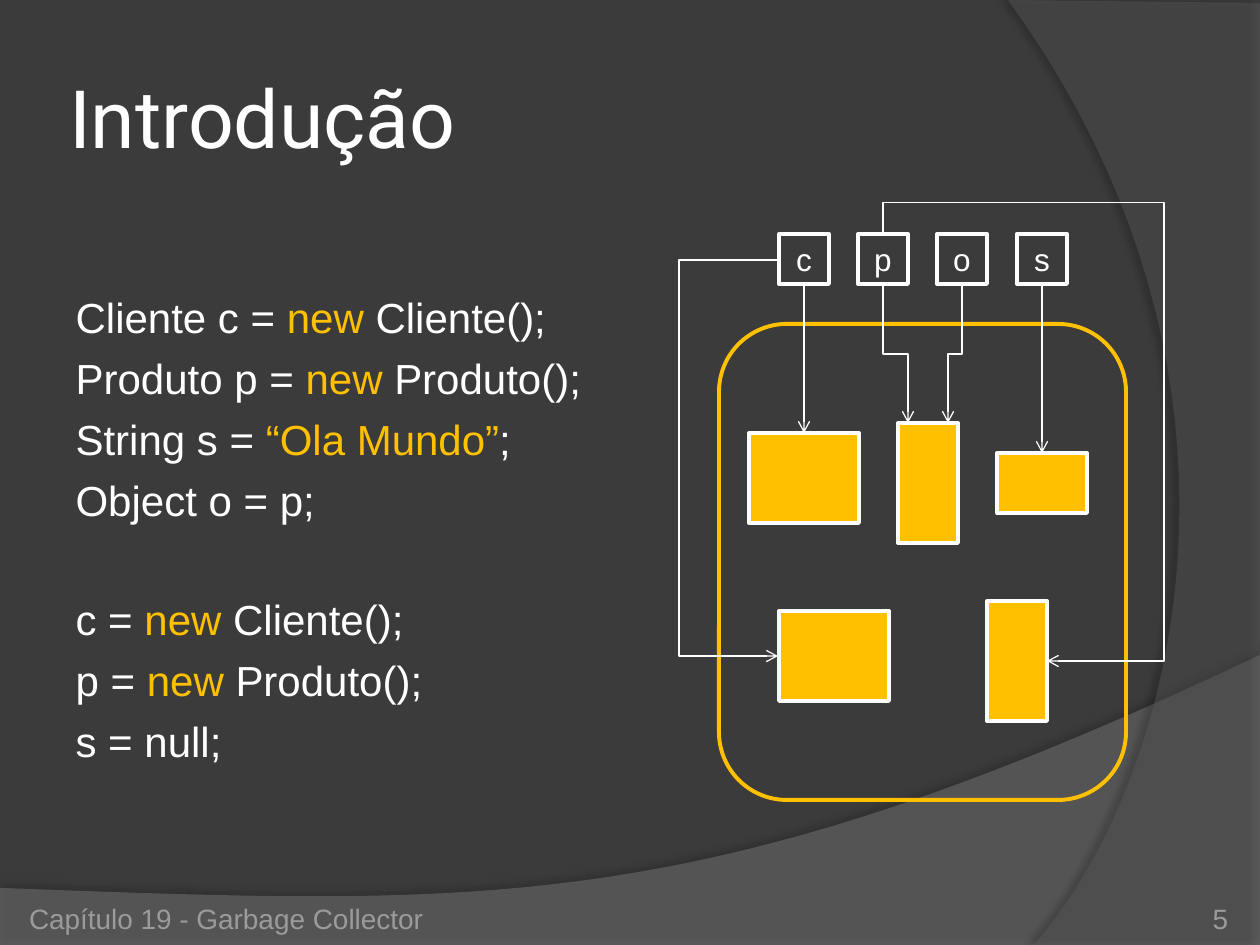
from lxml import etree
from pptx import Presentation
from pptx.dml.color import RGBColor
from pptx.enum.shapes import MSO_CONNECTOR, MSO_SHAPE
from pptx.enum.text import MSO_ANCHOR, MSO_AUTO_SIZE, PP_ALIGN
from pptx.oxml.ns import qn
from pptx.util import Pt

RECT, ROUND_RECT = MSO_SHAPE.RECTANGLE, MSO_SHAPE.ROUNDED_RECTANGLE
STRAIGHT, ELBOW = MSO_CONNECTOR.STRAIGHT, MSO_CONNECTOR.ELBOW
MIDDLE, BOTTOM = MSO_ANCHOR.MIDDLE, MSO_ANCHOR.BOTTOM
LEFT, CENTER, RIGHT = PP_ALIGN.LEFT, PP_ALIGN.CENTER, PP_ALIGN.RIGHT
NO_AUTOFIT = MSO_AUTO_SIZE.NONE
SIDE_TOP, SIDE_BOTTOM = 0, 2


class Theme:
    background, text, accent, muted = "3B3B3B", "FFFFFF", "FFC000", "9D9B9A"
    wave, arc, shadow = "7F7F7F", "5E5E5E", "000000"
    title_font, body_font = "Roboto", "Arial"
    title_size, code_size, label_size, footer_size = 46, 24, 18, 16
    outline, arrow = 2.25, 0.75
    line_gap, block_gap = 6, 39.6


# Content: within a code line, every second piece is highlighted
TITLE = "Introdução"
CODE_BLOCKS = [
    [("Cliente c = ", "new", " Cliente();"),
     ("Produto p = ", "new", " Produto();"),
     ("String s = ", "“Ola Mundo”", ";"),
     ("Object o = p;",)],
    [("c = ", "new", " Cliente();"),
     ("p = ", "new", " Produto();"),
     ("s = null;",)],
]
VARIABLES = ["c", "p", "o", "s"]
HEAP = (719, 324, 407, 476)
HEAP_OBJECTS = {
    "first client": (749, 433, 110, 90),
    "first product": (898, 423, 60, 120),
    "string": (997, 453, 90, 60),
    "second client": (779, 611, 110, 90),
    "second product": (987, 601, 60, 120),
}
DIRECT_REFERENCES = [("c", "first client"), ("s", "string")]
# start, end, lanes (alternating axes), whether the first leg is vertical
BENT_REFERENCES = [
    ((883, 284), (908, 423), [354], True),
    ((962, 284), (948, 423), [354], True),
    ((883, 234), (1047, 661), [203, 1164], True),
    ((779, 260), (778, 656), [678], False),
]
FOOTERS = [("Capítulo 19 - Garbage Collector", (29, 885, 400, 50), LEFT),
           ("5", (1124, 885, 104, 50), RIGHT)]
# corners, then curve control points; colour, alpha %, shadow alpha %, distance pt, direction
BACKDROP = [
    ([(0, 888), (0, 945), (1260, 945), (1260, 655)],
     [(704, 919), (493, 906), (0, 888)], Theme.wave, 45, 35, 3.5, 270),
    ([(1260, 3), (1260, 945), (1034, 945)],
     [(1178, 780), (1283, 378), (1008, 0)], Theme.arc, 40, 45, 4, 180),
]


def px(length):
    return round(length * 914400 / 126)


def emu(lengths):
    return [px(length) for length in lengths]


def rgb(colour):
    return RGBColor.from_string(colour)


def add_xml(parent, tag, **attributes):
    return etree.SubElement(parent, qn(tag), {k: str(v) for k, v in attributes.items()})


def add_run(paragraph, text, size, colour, font=Theme.body_font):
    run = paragraph.add_run()
    run.text = text
    run.font.size, run.font.name = Pt(size), font
    run.font.color.rgb = rgb(colour)


def place(shape, box):
    shape.left, shape.top, shape.width, shape.height = emu(box)


def set_insets(frame, inset):
    frame.margin_left = frame.margin_right = frame.margin_top = frame.margin_bottom = px(inset)


def add_box(kind, box, fill, outline):
    shape = slide.shapes.add_shape(kind, *emu(box))
    shape.shadow.inherit = False
    if fill:
        shape.fill.solid()
        shape.fill.fore_color.rgb = rgb(fill)
    else:
        shape.fill.background()
    shape.line.color.rgb, shape.line.width = rgb(outline), Pt(Theme.outline)
    return shape


def style_arrow(connector):
    connector.line.color.rgb, connector.line.width = rgb(Theme.text), Pt(Theme.arrow)
    add_xml(connector.line._get_or_add_ln(), "a:tailEnd", type="arrow")
    add_xml(connector._element.spPr, "a:effectLst")


def add_bent_arrow(start, end, lanes, vertical):
    dx, dy = end[0] - start[0], end[1] - start[1]
    width, height = (abs(dy), abs(dx)) if vertical else (abs(dx), abs(dy))
    left = (start[0] + end[0] - width) / 2
    top = (start[1] + end[1] - height) / 2
    arrow = slide.shapes.add_connector(ELBOW, *emu((left, top, left + width, top + height)))
    properties = arrow._element.spPr
    frame = properties.find(qn("a:xfrm"))
    if not vertical:
        frame.set("rot", "10800000")
        frame.set("flipV", "1")
    elif dx > 0:
        frame.set("rot", "16200000")
        frame.set("flipH", "1")
    else:
        frame.set("rot", "5400000")
    geometry = properties.find(qn("a:prstGeom"))
    geometry.set("prst", f"bentConnector{len(lanes) + 2}")
    for i, lane in enumerate(lanes):
        axis = (i + vertical) % 2
        share = (lane - start[axis]) / (end[axis] - start[axis])
        add_xml(geometry.find(qn("a:avLst")), "a:gd",
                name=f"adj{i + 1}", fmla=f"val {round(share * 100000)}")
    style_arrow(arrow)


def curve(p0, p1, p2, p3, steps=40):
    for step in range(1, steps + 1):
        t = step / steps
        yield tuple((1 - t) ** 3 * a + 3 * (1 - t) ** 2 * t * b + 3 * (1 - t) * t * t * c + t ** 3 * d
                    for a, b, c, d in zip(p0, p1, p2, p3))


prs = Presentation()
prs.slide_width, prs.slide_height = px(1260), px(945)
slide = prs.slides.add_slide(prs.slide_layouts[1])
slide.background.fill.solid()
slide.background.fill.fore_color.rgb = rgb(Theme.background)

# Backdrop curves, behind everything else
for layer, (corners, controls, colour, alpha, shade, distance, direction) in enumerate(BACKDROP):
    points = [emu(point) for point in corners + list(curve(corners[-1], *controls))]
    outline = slide.shapes.build_freeform(*points[0], scale=1.0)
    outline.add_line_segments(points[1:], close=True)
    sweep = outline.convert_to_shape()
    sweep.fill.solid()
    sweep.fill.fore_color.rgb = rgb(colour)
    sweep.line.fill.background()
    sweep.shadow.inherit = False
    properties = sweep._element.spPr
    add_xml(properties.find(qn("a:solidFill"))[0], "a:alpha", val=alpha * 1000)
    shadow = add_xml(properties.find(qn("a:effectLst")), "a:outerShdw", blurRad=Pt(4),
                     dist=Pt(distance), dir=direction * 60000, algn="ctr", rotWithShape=0)
    add_xml(add_xml(shadow, "a:srgbClr", val=Theme.shadow), "a:alpha", val=shade * 1000)
    slide.shapes._spTree.insert(2 + layer, sweep._element)

# Title
title = slide.shapes.title
place(title, (63, 38, 1029, 157))
title.text_frame.auto_size = NO_AUTOFIT
title.text_frame.vertical_anchor = MIDDLE
set_insets(title.text_frame, 6)
heading = title.text_frame.paragraphs[0]
heading.alignment = LEFT
add_run(heading, TITLE, Theme.title_size, Theme.text, Theme.title_font)

# Code listing
code = slide.placeholders[1]
place(code, (63, 285, 537, 495))
code.text_frame.auto_size = NO_AUTOFIT
lines = [(block and not i, line) for block, group in enumerate(CODE_BLOCKS)
         for i, line in enumerate(group)]
for number, (opens_block, pieces) in enumerate(lines):
    paragraph = code.text_frame.add_paragraph() if number else code.text_frame.paragraphs[0]
    paragraph.space_before = Pt(Theme.block_gap if opens_block else Theme.line_gap)
    bullet = paragraph._p.get_or_add_pPr()
    bullet.set("marL", "0")
    bullet.set("indent", "0")
    add_xml(bullet, "a:buNone")
    for i, piece in enumerate(pieces):
        add_run(paragraph, piece, Theme.code_size, Theme.accent if i % 2 else Theme.text)

# Variables on the stack
variables = {}
for i, name in enumerate(VARIABLES):
    variables[name] = add_box(RECT, (779 + i * 238 // 3, 234, 50, 50), None, Theme.text)
    variables[name].text_frame.vertical_anchor = MIDDLE
    label = variables[name].text_frame.paragraphs[0]
    label.alignment = CENTER
    add_run(label, name, Theme.label_size, Theme.text)

# Heap and its objects
heap = add_box(ROUND_RECT, HEAP, None, Theme.accent)
heap_objects = {name: add_box(RECT, box, Theme.accent, Theme.text)
                for name, box in HEAP_OBJECTS.items()}

# References
for variable, target in DIRECT_REFERENCES:
    reference = slide.shapes.add_connector(STRAIGHT, 0, 0, 0, 0)
    reference.begin_connect(variables[variable], SIDE_BOTTOM)
    reference.end_connect(heap_objects[target], SIDE_TOP)
    style_arrow(reference)
for route in BENT_REFERENCES:
    add_bent_arrow(*route)

# Footer and page number
for text, box, alignment in FOOTERS:
    footer = slide.shapes.add_textbox(*emu(box)).text_frame
    footer.word_wrap = True
    footer.vertical_anchor = BOTTOM
    set_insets(footer, 0)
    footer.paragraphs[0].alignment = alignment
    add_run(footer.paragraphs[0], text, Theme.footer_size, Theme.muted)

prs.save("out.pptx")
